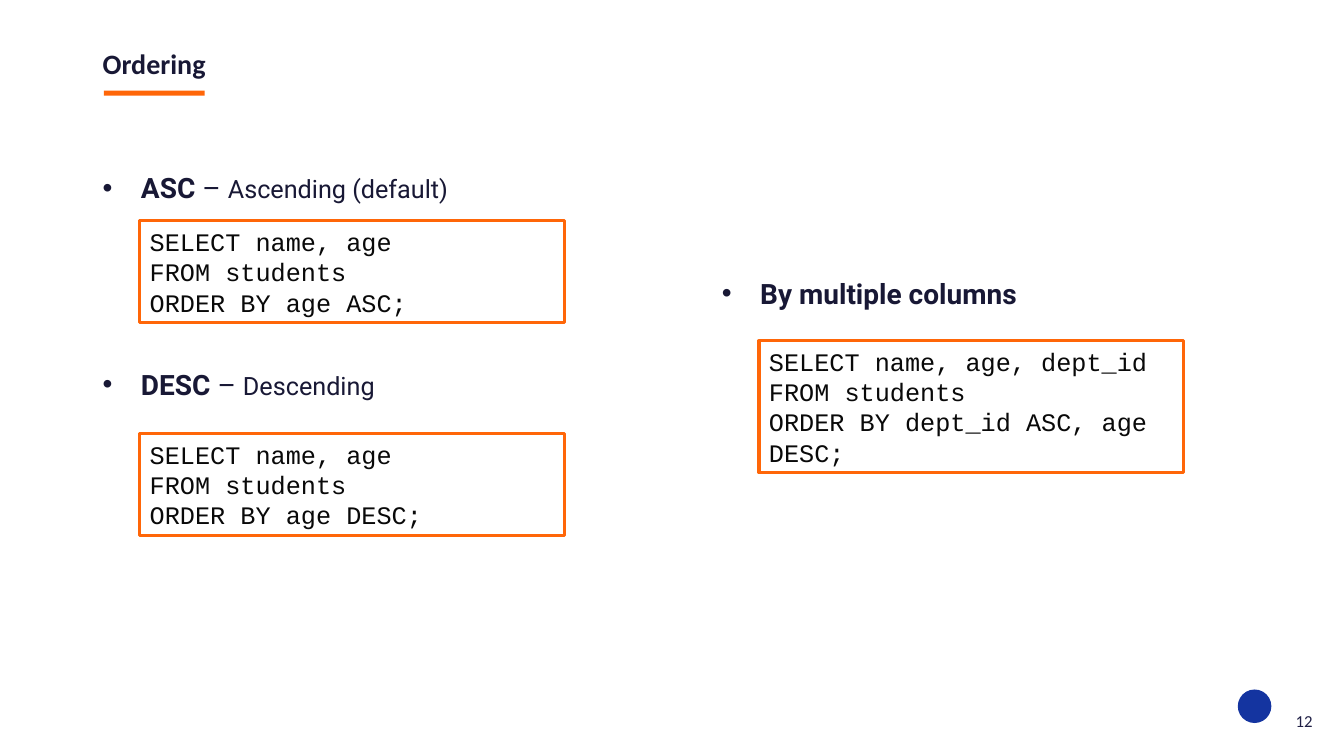
from lxml.etree import SubElement
from pptx import Presentation
from pptx.dml.color import RGBColor
from pptx.enum.shapes import MSO_SHAPE as Shape
from pptx.enum.text import MSO_ANCHOR as Anchor, MSO_AUTO_SIZE as AutoSize, PP_ALIGN as Align
from pptx.oxml.ns import qn
from pptx.util import Inches, Pt

COLORS = {"ink": "181835", "number": "202046", "code": "090909",
          "accent": "FF6608", "mark": "1434A0"}
COLUMNS, ROWS = 40, 30


def add_text(paragraph, text, size=20, font="Roboto", color="ink", bold=False):
    run = paragraph.add_run()
    run.text = text
    run.font.size = Pt(size)
    run.font.name = font
    run.font.bold = bold
    run.font.color.rgb = RGBColor.from_string(COLORS[color])


class OrderingSlide:
    """Places elements on a 40 by 30 grid of the slide."""

    def __init__(self, deck):
        self.slide = deck.slides.add_slide(deck.slide_layouts[6])
        self.column = deck.slide_width / COLUMNS
        self.row = deck.slide_height / ROWS

    def area(self, left, top, width, height):
        return (round(left * self.column), round(top * self.row),
                round(width * self.column), round(height * self.row))

    def label(self, *place):
        frame = self.slide.shapes.add_textbox(*self.area(*place)).text_frame
        frame.word_wrap = True
        frame.vertical_anchor = Anchor.MIDDLE
        return frame.paragraphs[0]

    def shape(self, kind, *place, fill=None, line=None):
        shape = self.slide.shapes.add_shape(kind, *self.area(*place))
        shape.shadow.inherit = False
        if fill:
            shape.fill.solid()
            shape.fill.fore_color.rgb = RGBColor.from_string(COLORS[fill])
        else:
            shape.fill.background()
        if line:
            shape.line.color.rgb = RGBColor.from_string(COLORS[line])
            shape.line.width = Pt(2.25)
        else:
            shape.line.fill.background()
        return shape

    def title(self, text):
        heading = self.label(2.76, 1.6, 34.5, 2)
        heading.line_spacing = 0.9
        add_text(heading, text, font="Calibri", bold=True)
        self.shape(Shape.RECTANGLE, 3.09, 3.6, 3, 0.2, fill="accent")

    def bullet(self, left, top, keyword, meaning=None):
        point = self.label(left, top, 16, 2)
        properties = point._p.get_or_add_pPr()
        properties.set("marL", str(Inches(0.38)))
        properties.set("indent", str(-Inches(0.38)))
        SubElement(properties, qn("a:buFont"), typeface="Arial")
        SubElement(properties, qn("a:buChar"), char="•")
        add_text(point, keyword, bold=True)
        if meaning:
            add_text(point, " – ")
            add_text(point, meaning, size=18)

    def query(self, left, top, statements, lines):
        """Frame SQL statements in a box tall enough for the wrapped lines."""
        box = self.shape(Shape.RECTANGLE, left, top, 12.63, 1.2 * lines + 0.44, line="accent")
        frame = box.text_frame
        frame.word_wrap = True
        frame.auto_size = AutoSize.SHAPE_TO_FIT_TEXT
        frame.vertical_anchor = Anchor.MIDDLE
        for index, statement in enumerate(statements):
            paragraph = frame.add_paragraph() if index else frame.paragraphs[0]
            paragraph.alignment = Align.LEFT
            add_text(paragraph, statement, size=18, font="Courier New", color="code")

    def footer(self, number):
        self.shape(Shape.OVAL, 36.84, 27.36, 1, 1.33, fill="mark")
        page = self.label(36, 27.8, 3.36, 1.6)
        page.alignment = Align.RIGHT
        add_text(page, number, size=12, font="Calibri", color="number")


def main():
    deck = Presentation()
    deck.slide_width, deck.slide_height = Inches(13.33), Inches(7.5)
    ordering = OrderingSlide(deck)
    ordering.title("Ordering")

    # Each example: left, bullet top, query top, keyword, meaning, columns, order, lines
    examples = [
        (2.76, 6.44, 8.76, "ASC", "Ascending (default)", "name, age", "age ASC", 3),
        (2.76, 14.24, 17.2, "DESC", "Descending", "name, age", "age DESC", 3),
        (21.19, 10.64, 13.52, "By multiple columns", None,
         "name, age, dept_id", "dept_id ASC, age DESC", 4),
    ]
    for left, top, query_top, keyword, meaning, columns, order, lines in examples:
        ordering.bullet(left, top, keyword, meaning)
        statements = [f"SELECT {columns}", "FROM students", f"ORDER BY {order};"]
        ordering.query(left + 1.4, query_top, statements, lines)

    ordering.footer("12")
    deck.save("out.pptx")


if __name__ == "__main__":
    main()
